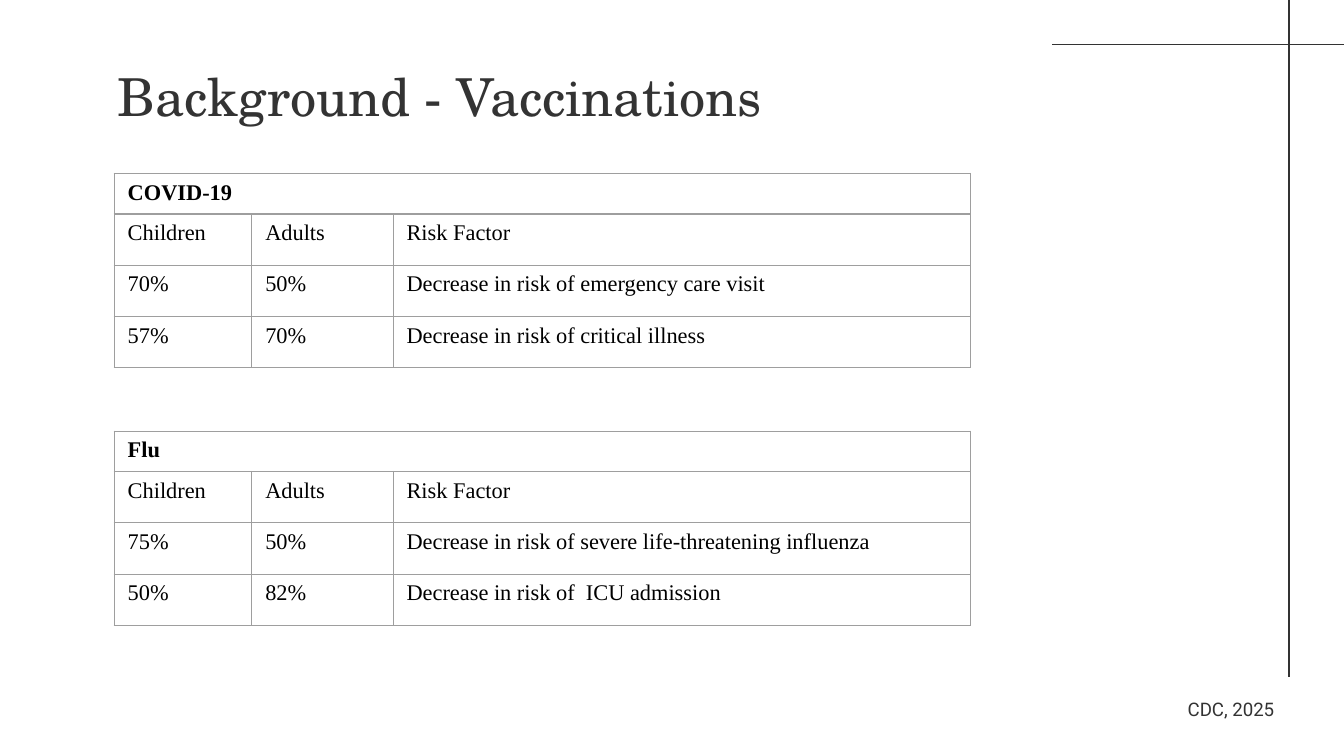
from dataclasses import dataclass

from lxml import etree
from pptx import Presentation
from pptx import oxml
from pptx.dml.color import RGBColor
from pptx.enum import shapes, text
from pptx.oxml import ns
from pptx.util import Cm, Pt


@dataclass(frozen=True)
class Theme:
    ink: str = "333333"
    table_ink: str = "000000"
    border: str = "9E9E9E"
    title_font: str = "TeX Gyre Schola"
    table_font: str = "Times New Roman"
    source_font: str = "Roboto"
    title_size: float = 28
    table_size: float = 12
    source_size: float = 10
    line_width: float = 0.75


THEME = Theme()

TABLE_LEFT = 2.16
COLUMN_WIDTHS = (2.6, 2.67, 10.91)
HEADING_HEIGHT, ROW_HEIGHT = 0.73, 0.97
COLUMN_NAMES = ("Children", "Adults", "Risk Factor")
VACCINES = (
    ("COVID-19", 3.28, (
        ("70%", "50%", "Decrease in risk of emergency care visit"),
        ("57%", "70%", "Decrease in risk of critical illness"),
    )),
    ("Flu", 8.15, (
        ("75%", "50%", "Decrease in risk of severe life-threatening influenza"),
        ("50%", "82%", "Decrease in risk of  ICU admission"),
    )),
)


def set_font(p, name, size, color, bold=False):
    p.font.name = name
    p.font.size = Pt(size)
    p.font.bold = bold
    p.font.color.rgb = RGBColor.from_string(color)


def add_text(s, content, box, font, size, align=text.PP_ALIGN.LEFT):
    sp = s.shapes.add_textbox(*(Cm(v) for v in box))
    tf = sp.text_frame
    tf.word_wrap = True
    tf.margin_left = tf.margin_right = tf.margin_top = tf.margin_bottom = Cm(0.25)
    p = tf.paragraphs[0]
    p.text = content
    p.alignment = align
    set_font(p, font, size, THEME.ink)


def add_rule(s, x1, y1, x2, y2):
    line = s.shapes.add_connector(
        shapes.MSO_CONNECTOR.STRAIGHT, Cm(x1), Cm(y1), Cm(x2), Cm(y2))
    line.line.color.rgb = RGBColor.from_string(THEME.ink)
    line.line.width = Pt(THEME.line_width)
    etree.SubElement(line._element.spPr, ns.qn("a:effectLst"))


def set_borders(cell):
    """Line all four sides; the schema wants the lines ahead of the fill."""
    tc_pr = cell._tc.get_or_add_tcPr()
    for i, side in enumerate(("lnL", "lnR", "lnT", "lnB")):
        tc_pr.insert(i, oxml.parse_xml(
            f'<a:{side} {ns.nsdecls("a")} w="{Pt(THEME.line_width)}">'
            f'<a:solidFill><a:srgbClr val="{THEME.border}"/></a:solidFill>'
            f'</a:{side}>'))


def add_vaccine_table(s, name, top, rows):
    cells = ((name, "", ""), COLUMN_NAMES, *rows)
    heights = (HEADING_HEIGHT, *[ROW_HEIGHT] * (len(cells) - 1))
    table = s.shapes.add_table(
        len(cells), len(COLUMN_WIDTHS), Cm(TABLE_LEFT), Cm(top),
        Cm(sum(COLUMN_WIDTHS)), Cm(sum(heights))).table
    table.first_row = table.horz_banding = False
    for column, width in zip(table.columns, COLUMN_WIDTHS):
        column.width = Cm(width)
    for i, (row, height) in enumerate(zip(cells, heights)):
        table.rows[i].height = Cm(height)
        for j, content in enumerate(row):
            cell = table.cell(i, j)
            cell.text = content
            cell.fill.background()
            set_borders(cell)
            set_font(cell.text_frame.paragraphs[0], THEME.table_font,
                     THEME.table_size, THEME.table_ink, bold=i == 0)
    table.cell(0, 0).merge(table.cell(0, len(COLUMN_WIDTHS) - 1))


def main():
    prs = Presentation()
    prs.slide_width, prs.slide_height = Cm(25.4), Cm(14.29)
    s = prs.slides.add_slide(prs.slide_layouts[6])

    add_rule(s, 19.89, 0.84, 25.4, 0.84)
    add_rule(s, 24.36, 0, 24.36, 12.79)
    add_text(s, "Background - Vaccinations", (1.98, 0.97, 22.35, 2.95),
             THEME.title_font, THEME.title_size)
    add_text(s, "CDC, 2025", (21, 12.98, 3.33, 0.69),
             THEME.source_font, THEME.source_size, text.PP_ALIGN.RIGHT)
    for name, top, rows in VACCINES:
        add_vaccine_table(s, name, top, rows)

    prs.save("out.pptx")


if __name__ == "__main__":
    main()
